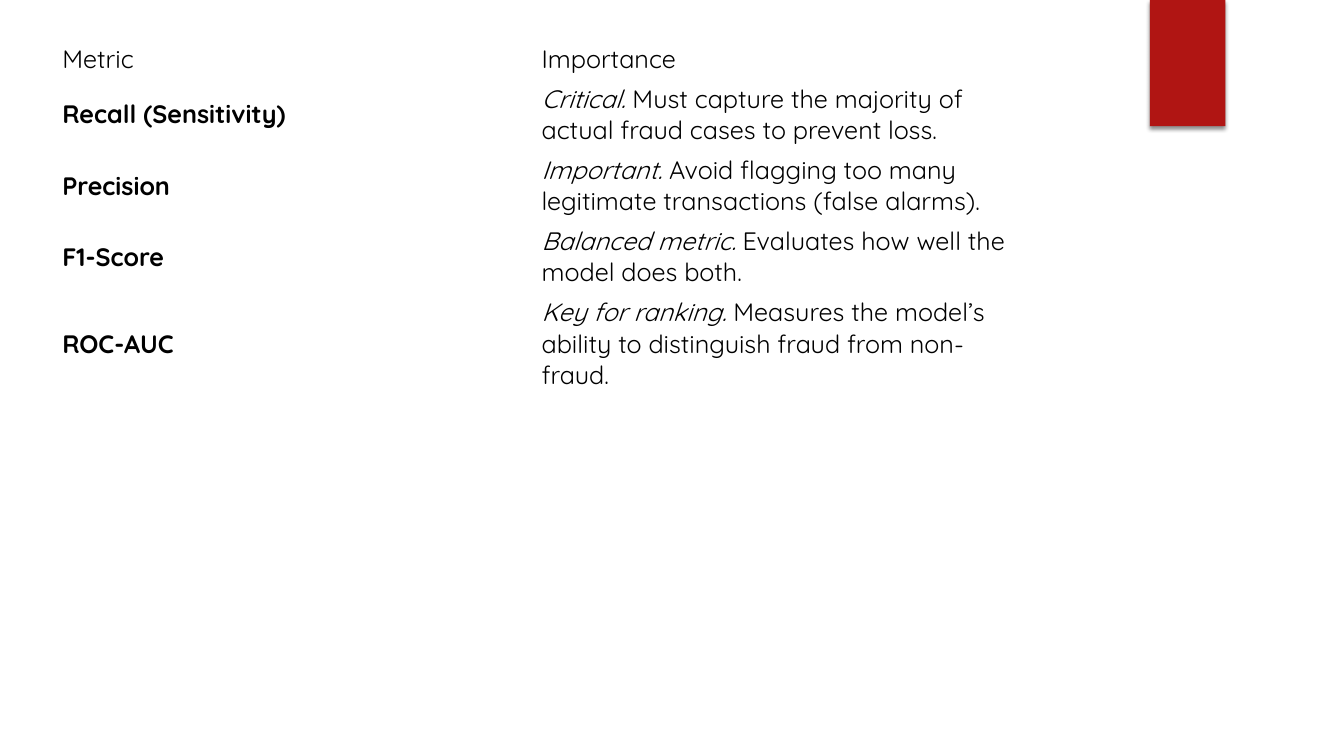
import pptx
import pptx.util
import pptx.dml.color
import pptx.enum.shapes
import pptx.enum.text
from lxml import etree

Cm = pptx.util.Cm
Pt = pptx.util.Pt

HEADINGS = ("Metric", "Importance")
METRICS = [
    ("Recall (Sensitivity)", "Critical.",
     " Must capture the majority of actual fraud cases to prevent loss."),
    ("Precision", "Important.",
     " Avoid flagging too many legitimate transactions (false alarms)."),
    ("F1-Score", "Balanced metric.",
     " Evaluates how well the model does both."),
    ("ROC-AUC", "Key for ranking.",
     " Measures the model’s ability to distinguish fraud from non-fraud."),
]
COLORS = {"text": "000000", "accent": "B01513", "shadow": "000000"}
FONT = "Quicksand"
ROW_HEIGHTS = (0.97, 1.68, 1.68, 1.68, 2.39)
COLUMN_WIDTH = 12.08


def rgb(name):
    return pptx.dml.color.RGBColor.from_string(COLORS[name])


def add_text(paragraph, text, size=18, bold=False, italic=False, color="text"):
    run = paragraph.add_run()
    run.text = text
    run.font.name = FONT
    run.font.size = Pt(size)
    run.font.bold = bold
    run.font.italic = italic
    run.font.color.rgb = rgb(color)


def add_shadow(shape, blur, distance, angle, opacity):
    """Give the shape an outer shadow: points, points, degrees, percent."""
    shape.shadow.inherit = False
    effects = shape.fill._xPr.find(pptx.oxml.ns.qn("a:effectLst"))
    outer = etree.SubElement(
        effects, pptx.oxml.ns.qn("a:outerShdw"), blurRad=str(Pt(blur)),
        dist=str(Pt(distance)), dir=str(angle * 60000), rotWithShape="0")
    tint = etree.SubElement(outer, pptx.oxml.ns.qn("a:srgbClr"), val=COLORS["shadow"])
    etree.SubElement(tint, pptx.oxml.ns.qn("a:alpha"), val=str(opacity * 1000))


def add_ribbon(slide):
    ribbon = slide.shapes.add_shape(
        pptx.enum.shapes.MSO_SHAPE.RECTANGLE, Cm(28.98), Cm(0), Cm(1.9), Cm(3.18))
    ribbon.fill.solid()
    ribbon.fill.fore_color.rgb = rgb("accent")
    ribbon.line.fill.background()
    add_shadow(ribbon, blur=3, distance=2, angle=90, opacity=45)


def add_metrics(slide):
    metrics = slide.shapes.add_table(
        len(METRICS) + 1, len(HEADINGS), Cm(1.37), Cm(0.99),
        Cm(COLUMN_WIDTH * len(HEADINGS)), Cm(sum(ROW_HEIGHTS))).table
    metrics.first_row = False
    metrics.horz_banding = False
    for row, height in zip(metrics.rows, ROW_HEIGHTS):
        row.height = Cm(height)
    for cell in metrics.iter_cells():
        cell.fill.background()
        cell.vertical_anchor = pptx.enum.text.MSO_ANCHOR.MIDDLE
        cell.margin_left = cell.margin_right = Cm(0.2)
        cell.margin_top = cell.margin_bottom = Cm(0.1)

    def paragraph(row, column):
        return metrics.cell(row, column).text_frame.paragraphs[0]

    for column, heading in enumerate(HEADINGS):
        add_text(paragraph(0, column), heading)
    for row, (metric, verdict, reason) in enumerate(METRICS, start=1):
        add_text(paragraph(row, 0), metric, bold=True)
        add_text(paragraph(row, 1), verdict, italic=True)
        add_text(paragraph(row, 1), reason)


def main():
    deck = pptx.Presentation()
    deck.slide_width, deck.slide_height = Cm(33.87), Cm(19.05)
    slide = deck.slides.add_slide(deck.slide_layouts[6])
    add_ribbon(slide)
    add_metrics(slide)
    deck.save("out.pptx")


if __name__ == "__main__":
    main()
